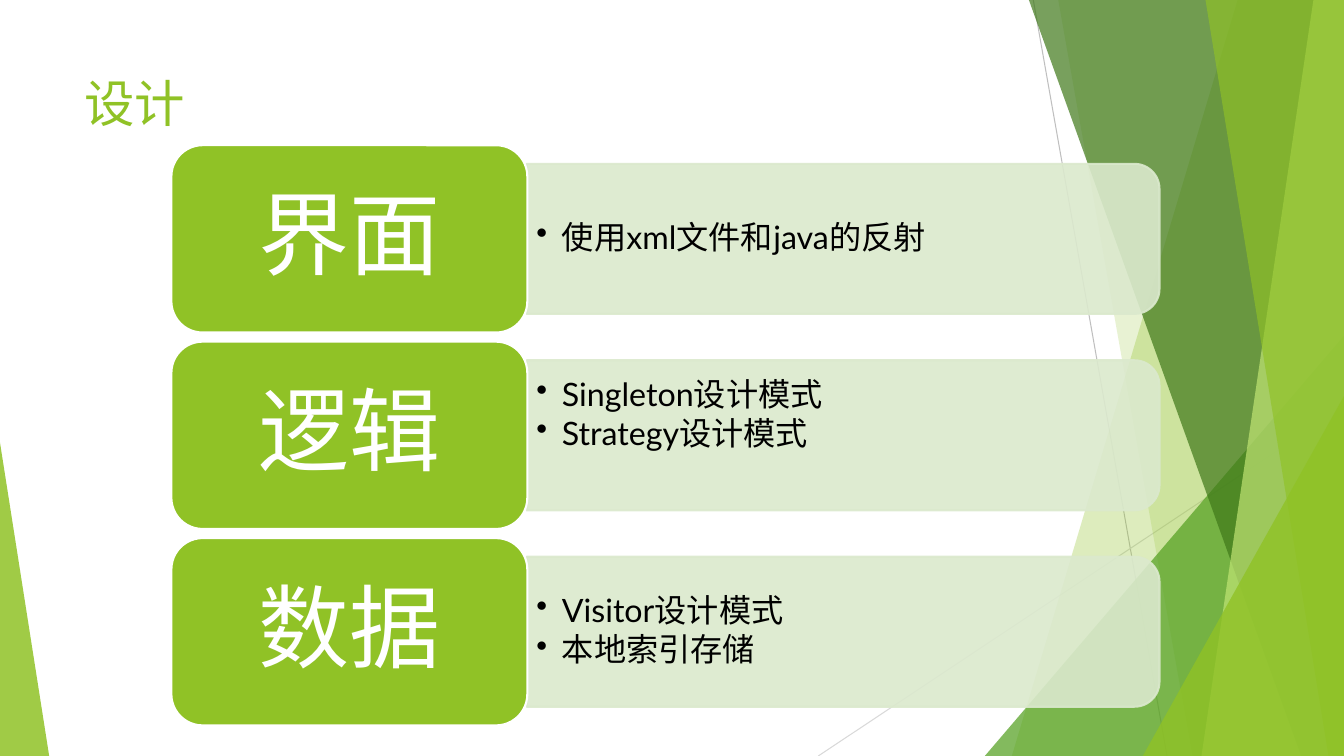
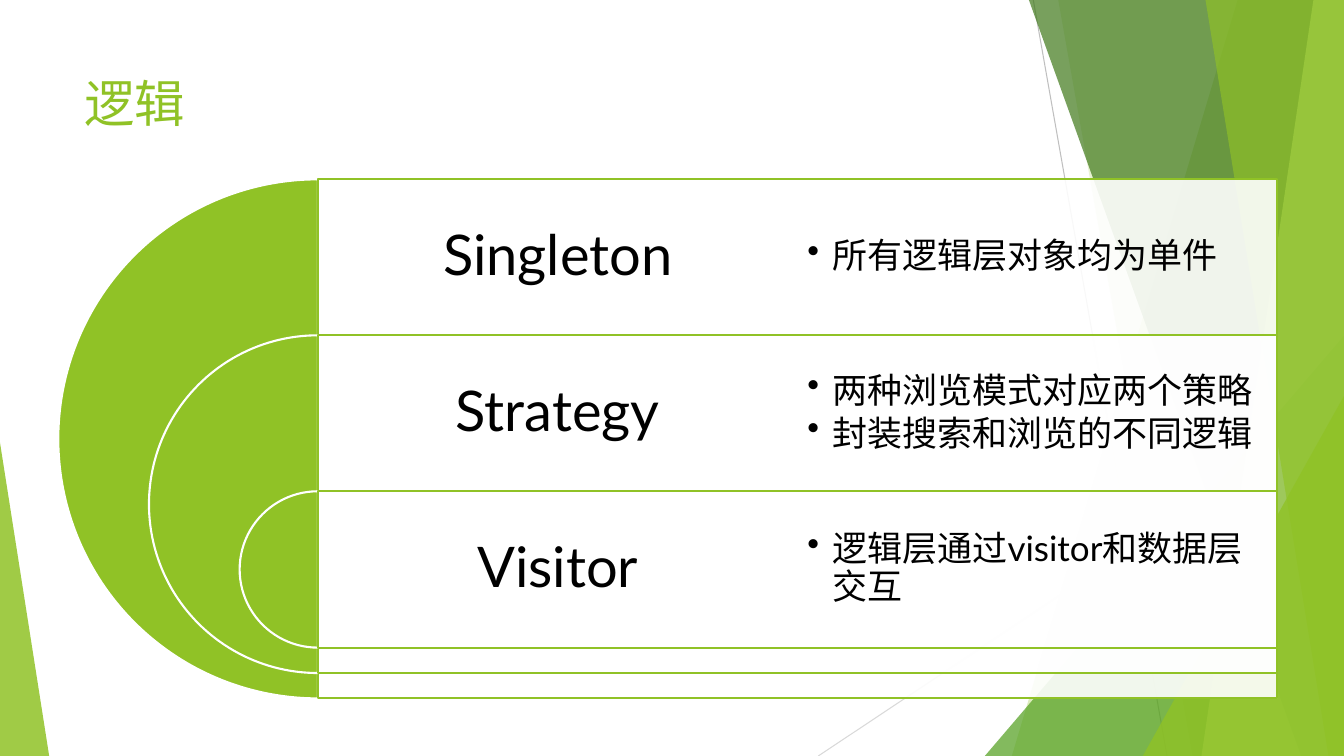
"""Build two design slides: layered blocks with details and nested half rings."""
from lxml import etree
from pptx import Presentation
from pptx.dml.color import RGBColor
from pptx.enum.shapes import MSO_CONNECTOR, MSO_SHAPE
from pptx.enum.text import MSO_ANCHOR, PP_ALIGN
from pptx.oxml.ns import qn
from pptx.util import Cm, Pt

STRAIGHT = MSO_CONNECTOR.STRAIGHT
TRIANGLE = MSO_SHAPE.RIGHT_TRIANGLE
APEX_TRIANGLE = MSO_SHAPE.ISOSCELES_TRIANGLE
BLOCK = MSO_SHAPE.ROUNDED_RECTANGLE
BAR = MSO_SHAPE.ROUND_2_SAME_RECTANGLE
RECTANGLE = MSO_SHAPE.RECTANGLE
PIE = MSO_SHAPE.PIE
TOP, MIDDLE = MSO_ANCHOR.TOP, MSO_ANCHOR.MIDDLE
LEFT, CENTER = PP_ALIGN.LEFT, PP_ALIGN.CENTER

FONT = "Lato"
LIME = RGBColor(0x90, 0xC2, 0x26)
GREEN = RGBColor(0x54, 0xA0, 0x21)
FOREST = RGBColor(0x3F, 0x78, 0x19)
PALE_LIME = RGBColor(0xC0, 0xE4, 0x74)
MIST = RGBColor(0xDB, 0xE9, 0xCD)
GRAY = RGBColor(0xBF, 0xBF, 0xBF)
LIGHT_GRAY = RGBColor(0xD9, 0xD9, 0xD9)
WHITE = RGBColor(0xFF, 0xFF, 0xFF)
BLACK = RGBColor(0, 0, 0)

WIDTH, HEIGHT = 33.87, 19.05

LAYERS_TITLE = "设计"
LAYERS = [
    ("界面", ["使用xml文件和java的反射"], 0),
    ("逻辑", ["Singleton设计模式", "Strategy设计模式"], 1),
    ("数据", ["Visitor设计模式", "本地索引存储"], 0),
]
PATTERNS_TITLE = "逻辑"
PATTERNS = [
    ("Singleton", ["所有逻辑层对象均为单件"]),
    ("Strategy", ["两种浏览模式对应两个策略", "封装搜索和浏览的不同逻辑"]),
    ("Visitor", ["逻辑层通过visitor和数据层交互"]),
]

HAIRLINES = [
    (26.04, 0, 29.41, HEIGHT, GRAY),
    (WIDTH, 10.24, 20.62, HEIGHT, LIGHT_GRAY),
]
BACK_BANDS = [(31.19, 25.5, LIME, 30), (26.67, 30.05, LIME, 20)]
BACK_CORNERS = [(24.82, 8.46, 9.05, 1, GREEN, 72)]
FRONT_BANDS = [
    (25.93, 32.79, FOREST, 70),
    (33.1, 30.28, PALE_LIME, 70),
    (30.38, 33.48, LIME, 65),
]
FRONT_CORNERS = [(28.8, 9.98, 5.07, 1, LIME, 80), (0, 11.15, 1.24, 0, LIME, 85)]


def set_opacity(parent, opacity):
    """Apply an opacity in percent to the solid colour inside parent."""
    color = parent.find(qn("a:solidFill")).find(qn("a:srgbClr"))
    etree.SubElement(color, qn("a:alpha"), val=str(opacity * 1000))


def paint(shape, fill, opacity=100, outline=None, outline_opacity=100):
    """Set fill, outline and opacity, without a shadow."""
    shape.shadow.inherit = False
    shape.fill.solid()
    shape.fill.fore_color.rgb = fill
    properties = shape._element.spPr
    if opacity < 100:
        set_opacity(properties, opacity)
    if outline is None:
        shape.line.fill.background()
        return
    shape.line.color.rgb = outline
    shape.line.width = Pt(1.5)
    if outline_opacity < 100:
        set_opacity(properties.find(qn("a:ln")), outline_opacity)


def add_shape(slide, kind, left, top, width, height):
    """Add a preset shape placed in centimetres."""
    return slide.shapes.add_shape(kind, Cm(left), Cm(top), Cm(width), Cm(height))


def add_text_box(slide, left, top, width, height):
    """Add a text box placed in centimetres."""
    return slide.shapes.add_textbox(Cm(left), Cm(top), Cm(width), Cm(height))


def write(shape, lines, size, color, align=LEFT, anchor=MIDDLE, inset=(0.25, 0.13),
          spacing=0.9, after=0.0, bullets=False, spare_lines=0):
    """Write one paragraph per line; spare lines lift the text block."""
    frame = shape.text_frame
    frame.word_wrap = True
    frame.vertical_anchor = anchor
    frame.margin_left = frame.margin_right = Cm(inset[0])
    frame.margin_top = Cm(inset[1])
    frame.margin_bottom = Cm(inset[1] + spare_lines)
    for index, line in enumerate(lines):
        paragraph = frame.add_paragraph() if index else frame.paragraphs[0]
        paragraph.text = line
        paragraph.alignment = align
        paragraph.line_spacing = spacing
        paragraph.space_after = Pt(size * after)
        paragraph.font.name = FONT
        paragraph.font.size = Pt(size)
        paragraph.font.color.rgb = color
        if bullets:
            properties = paragraph._p.get_or_add_pPr()
            properties.set("marL", str(Cm(0.64)))
            properties.set("indent", str(-Cm(0.64)))
            etree.SubElement(properties, qn("a:buChar"), char="•")


def add_bands(slide, bands):
    """Draw slanted bands that reach the right edge."""
    for top_left, bottom_left, color, opacity in bands:
        builder = slide.shapes.build_freeform(Cm(top_left), Cm(0))
        builder.add_line_segments([
            (Cm(WIDTH), Cm(0)), (Cm(WIDTH), Cm(HEIGHT)), (Cm(bottom_left), Cm(HEIGHT)),
        ])
        paint(builder.convert_to_shape(), color, opacity)


def add_corners(slide, corners):
    """Draw triangles that stand on the bottom edge."""
    for left, top, width, apex, color, opacity in corners:
        triangle = add_shape(slide, APEX_TRIANGLE, left, top, width, HEIGHT - top)
        triangle.adjustments[0] = apex
        paint(triangle, color, opacity)


def add_themed_slide(presentation, title):
    """Add a blank slide with the shared decoration and title."""
    slide = presentation.slides.add_slide(presentation.slide_layouts[6])
    for start_x, start_y, end_x, end_y, color in HAIRLINES:
        line = slide.shapes.add_connector(
            STRAIGHT, Cm(start_x), Cm(start_y), Cm(end_x), Cm(end_y))
        line.line.color.rgb = color
        line.line.width = Pt(0.75)
        etree.SubElement(line._element.spPr, qn("a:effectLst"))
    add_bands(slide, BACK_BANDS)
    add_corners(slide, BACK_CORNERS)
    add_bands(slide, FRONT_BANDS)
    add_corners(slide, FRONT_CORNERS)
    title_box = add_text_box(slide, 1.88, 1.7, 23.88, 2.5)
    write(title_box, [title], 36, LIME, anchor=TOP, spacing=1.0)
    return slide


def add_layers(slide):
    """Draw a block per layer with a detail bar to its right."""
    block_left, block_width, block_height = 4.32, 8.97, 4.72
    first_top, pitch = 3.66, 4.95
    bar_left, bar_width, bar_height = 13.27, 15.95, 3.78
    text_width, text_height = 15.75, 3.4
    for index, (name, details, spare_lines) in enumerate(LAYERS):
        top = first_top + index * pitch
        middle = top + block_height / 2
        bar = add_shape(slide, BAR, bar_left + (bar_width - bar_height) / 2,
                        middle - bar_width / 2, bar_height, bar_width)
        bar.rotation = 90
        paint(bar, MIST, 90, MIST, 90)
        detail_box = add_text_box(slide, bar_left, middle - text_height / 2,
                                  text_width, text_height)
        write(detail_box, details, 23, BLACK, after=0.15, bullets=True,
              spare_lines=spare_lines)
        block = add_shape(slide, BLOCK, block_left, top, block_width, block_height)
        paint(block, LIME, outline=WHITE)
        write(block, [name], 65, WHITE, CENTER, inset=(0.69, 0.36), after=0.35)


def add_patterns(slide):
    """Draw nested half rings, each opening into a row of text."""
    axis, first_top, row_height = 8.01, 4.52, 3.93
    outer_diameter, shrink = 13.08, 4.57
    row_width = 24.18
    column = row_width / 2
    for index, (name, details) in enumerate(PATTERNS):
        top = first_top + index * row_height
        diameter = outer_diameter - index * shrink
        ring = add_shape(slide, PIE, axis - diameter / 2, top, diameter, diameter)
        ring.adjustments[0], ring.adjustments[1] = 54, 162
        paint(ring, LIME, outline=WHITE)
        panel = add_shape(slide, RECTANGLE, axis, top, row_width, diameter)
        paint(panel, WHITE, 90, LIME)
        name_box = add_text_box(slide, axis, top, column, row_height)
        write(name_box, [name], 40, BLACK, CENTER, inset=(0.43, 0.43), after=0.35)
        detail_box = add_text_box(slide, axis + column, top, column, row_height)
        write(detail_box, details, 25, BLACK, inset=(0.25, 0.25), after=0.15, bullets=True)


presentation = Presentation()
presentation.slide_width = Cm(WIDTH)
presentation.slide_height = Cm(HEIGHT)
add_layers(add_themed_slide(presentation, LAYERS_TITLE))
add_patterns(add_themed_slide(presentation, PATTERNS_TITLE))
presentation.save("out.pptx")
